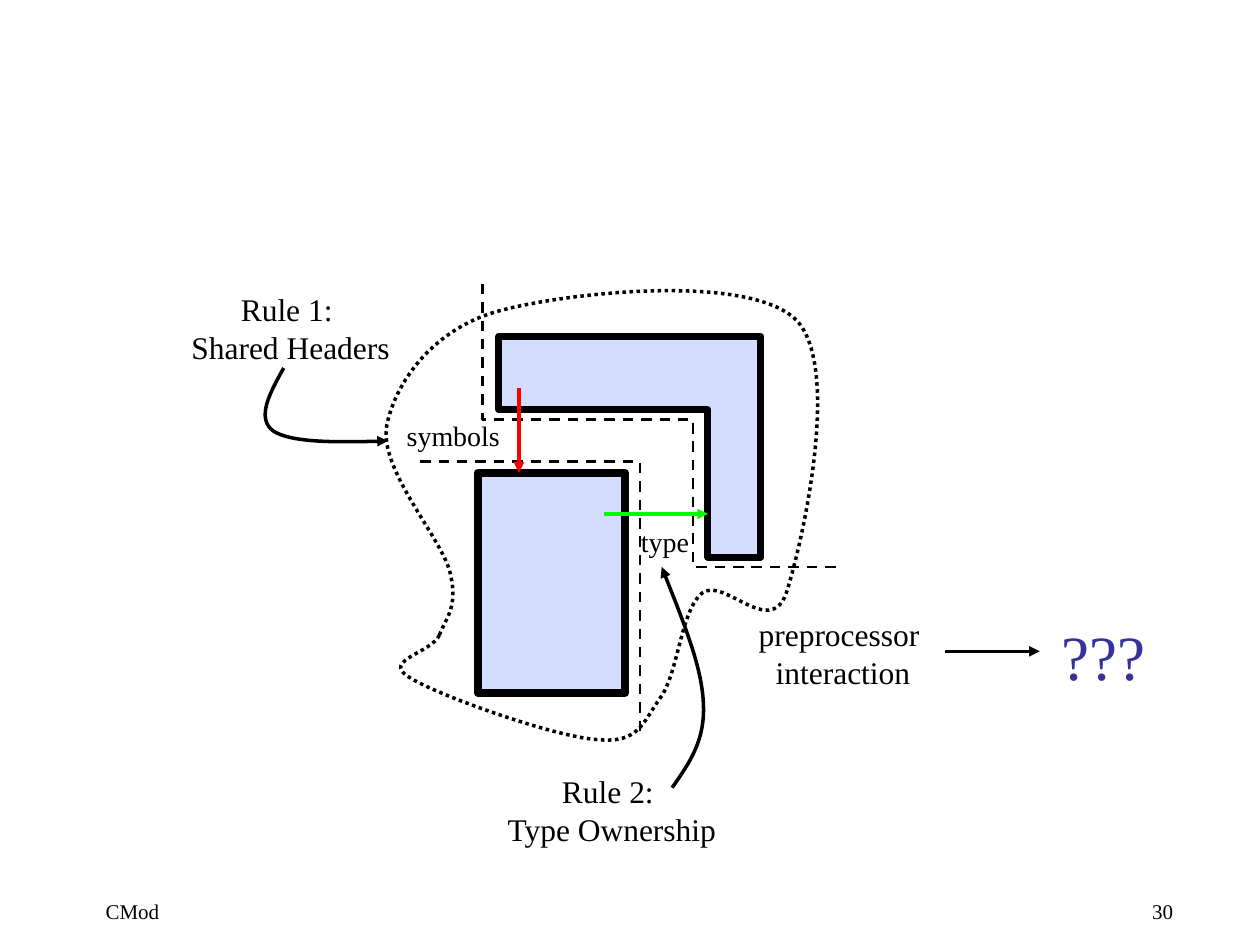
"""Build a slide showing two modules, their interface rules and a preprocessor question."""
from lxml.etree import SubElement
from pptx import Presentation
from pptx.dml.color import RGBColor
from pptx.enum.dml import MSO_LINE as Dash
from pptx.enum.shapes import MSO_CONNECTOR as Connector, MSO_SHAPE as Shape
from pptx.enum.text import MSO_ANCHOR as Anchor, MSO_AUTO_SIZE as AutoSize, PP_ALIGN as Align
from pptx.oxml.ns import qn
from pptx.util import Cm, Pt

BLACK, MODULE_BLUE = "000000", "3366FF"

presentation = Presentation()
presentation.slide_width, presentation.slide_height = Cm(25.4), Cm(19.05)
slide = presentation.slides.add_slide(presentation.slide_layouts[6])


def add_text(text, left, top, width, height, size=18, color=BLACK,
             align=Align.CENTER, anchor=Anchor.MIDDLE, wrap=False, indent=0.25):
    box = slide.shapes.add_textbox(Cm(left), Cm(top), Cm(width), Cm(height))
    frame = box.text_frame
    frame.word_wrap = wrap
    frame.auto_size = AutoSize.NONE if wrap else AutoSize.SHAPE_TO_FIT_TEXT
    frame.vertical_anchor = anchor
    frame.margin_left = Cm(indent)
    frame.text = text
    for paragraph in frame.paragraphs:
        paragraph.alignment = align
        paragraph.font.name = "Times New Roman"
        paragraph.font.size = Pt(size)
        paragraph.font.color.rgb = RGBColor.from_string(color)


def format_shape(shape, width, color=BLACK, fill=None, dash=None, arrow=False):
    properties = shape.element.spPr
    if fill:
        shape.fill.solid()
        shape.fill.fore_color.rgb = RGBColor.from_string(fill)
        SubElement(properties.find(qn("a:solidFill"))[0], qn("a:alpha"), val="22000")
    elif hasattr(shape, "fill"):
        shape.fill.background()
    shape.line.width = Pt(width)
    shape.line.color.rgb = RGBColor.from_string(color)
    if dash:
        shape.line.dash_style = dash
    if arrow:
        SubElement(properties.find(qn("a:ln")), qn("a:tailEnd"), type="triangle")
    SubElement(properties, qn("a:effectLst"))


module = slide.shapes.add_shape(Shape.FLOWCHART_PROCESS, Cm(9.63), Cm(9.53), Cm(2.97), Cm(4.44))
format_shape(module, 4.5, fill=MODULE_BLUE)

client_module = [(10.06, 8.26), (10.06, 6.78), (15.34, 6.78),
                 (15.34, 11.23), (14.27, 11.23), (14.27, 8.26)]
client_boundary = [(9.73, 5.72), (9.73, 8.46), (13.97, 8.46), (13.97, 11.43), (16.93, 11.43)]
module_boundary = [(8.47, 9.31), (12.9, 9.31), (12.9, 14.82)]
header_pointer = [(5.72, 7.42), (5.44, 7.92), (5.16, 8.43), (5.51, 8.69),
                  (5.87, 8.92), (6.83, 8.92), (7.82, 8.89)]
ownership_pointer = [(13.55, 15.88), (13.89, 15.39), (14.22, 14.94), (14.18, 14.18),
                     (14.15, 13.44), (13.74, 12.45), (13.34, 11.43)]
preprocessor_cloud = [
    (8.86, 12.8), (8.99, 12.45), (9.25, 12.24), (9.07, 11.53),
    (8.89, 10.82), (7.62, 9.45), (7.8, 8.56), (7.98, 7.7), (8.74, 6.6), (10.13, 6.25),
    (11.51, 5.89), (15.09, 5.51), (16.05, 6.45), (16.99, 7.42), (16.15, 11.05), (15.85, 11.96),
    (15.52, 12.88), (14.58, 11.61), (14.15, 11.96), (13.72, 12.32), (13.67, 13.59), (13.31, 14.07),
    (12.95, 14.58), (12.88, 14.99), (12.04, 14.91), (11.18, 14.86), (8.74, 13.99), (8.23, 13.64),
    (7.7, 13.31), (8.71, 13.16), (8.86, 12.8)]

for points, closed, curved, style in [
    (client_module, True, False, {"width": 4, "fill": MODULE_BLUE}),
    (header_pointer, False, True, {"width": 2, "arrow": True}),
    (ownership_pointer, False, True, {"width": 2, "arrow": True}),
    (preprocessor_cloud, False, True, {"width": 2, "dash": Dash.ROUND_DOT}),
    (client_boundary, False, False, {"width": 1.5, "dash": Dash.DASH}),
    (module_boundary, False, False, {"width": 1.5, "dash": Dash.DASH}),
]:
    corners = [(Cm(x), Cm(y)) for x, y in points]
    builder = slide.shapes.build_freeform(*corners[0])
    builder.add_line_segments(corners[1:], close=closed)
    outline = builder.convert_to_shape()
    if curved:
        segments = list(outline.element.iter(qn("a:lnTo")))
        route = segments[0].getparent()
        for start in range(0, len(segments), 3):
            curve = SubElement(route, qn("a:cubicBezTo"))
            for segment in segments[start:start + 3]:
                curve.append(segment[0])
                route.remove(segment)
    format_shape(outline, **style)

for x1, y1, x2, y2, color in [
    (12.17, 10.36, 14.27, 10.36, "00FF00"),
    (10.46, 7.82, 10.46, 9.53, "FF0000"),
    (19.05, 13.13, 20.96, 13.13, BLACK),
]:
    arrow = slide.shapes.add_connector(Connector.STRAIGHT, Cm(x1), Cm(y1), Cm(x2), Cm(y2))
    format_shape(arrow, 2, color=color, arrow=True)

add_text("symbols", 7.95, 8.31, 2.39, 0.94, size=16, align=Align.LEFT, anchor=Anchor.TOP)
add_text("type", 12.67, 10.44, 1.47, 0.94, size=16, align=Align.LEFT, anchor=Anchor.TOP)
add_text("Rule 1: \nShared Headers", 3.56, 5.72, 4.6, 1.78)
add_text("Rule 2: \nType Ownership", 9.96, 15.44, 4.75, 1.78)
add_text("preprocessor \ninteraction", 15.04, 12.27, 3.91, 1.78, anchor=Anchor.TOP)
add_text("???", 21.1, 12.32, 2.3, 1.78, size=36, color="333399")
add_text("CMod", 1.27, 17.98, 15.44, 0.64, size=12, align=Align.LEFT,
         anchor=Anchor.TOP, wrap=True, indent=0.86)
add_text("30", 18.62, 17.98, 5.28, 0.64, size=12, align=Align.RIGHT,
         anchor=Anchor.TOP, wrap=True, indent=0.86)

presentation.save("out.pptx")
